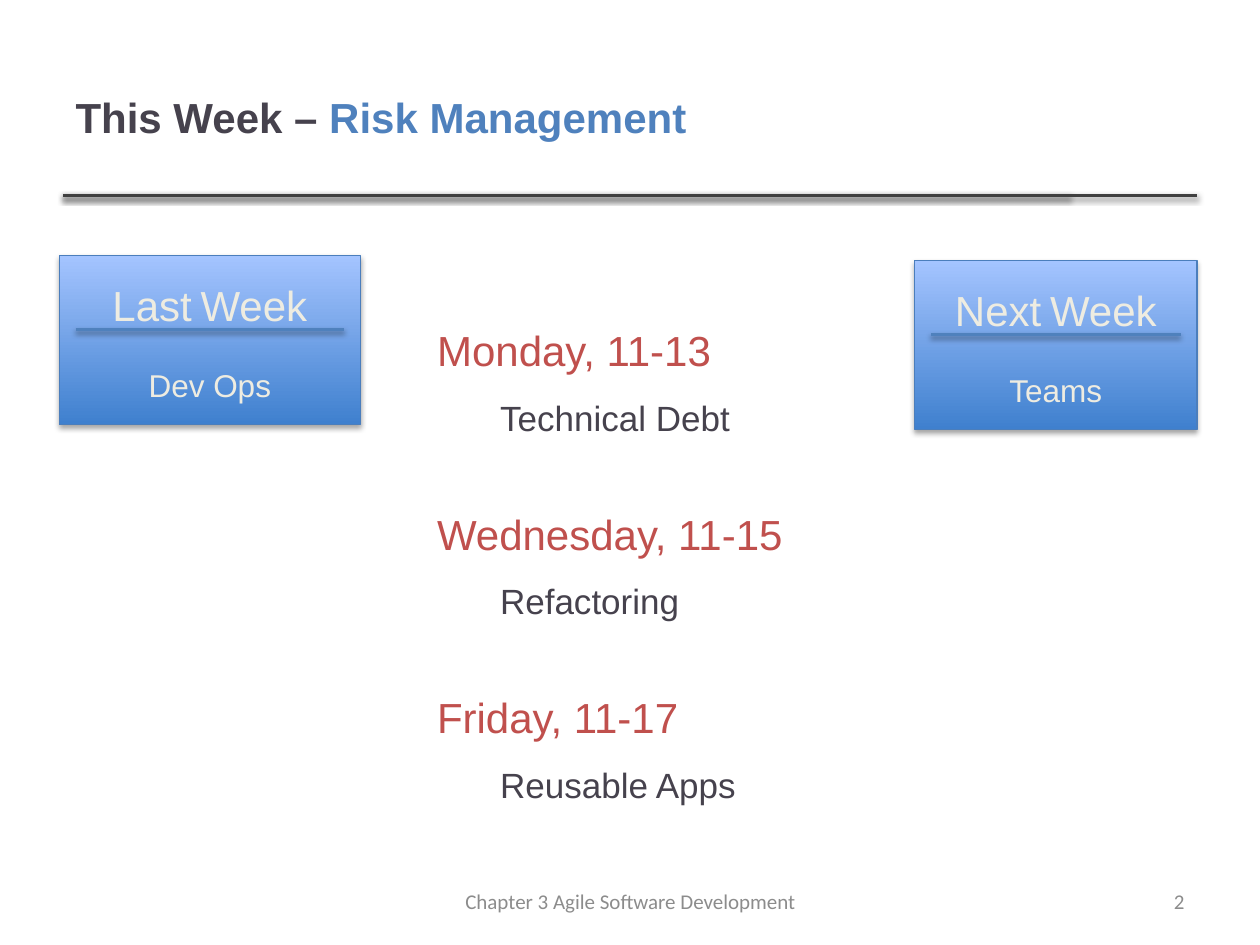
from lxml.etree import SubElement
from pptx import Presentation
from pptx.dml.color import RGBColor
from pptx.enum.shapes import MSO_CONNECTOR as Connector, MSO_SHAPE as Shape
from pptx.enum.text import MSO_ANCHOR as Anchor, PP_ALIGN as Align
from pptx.oxml.ns import qn
from pptx.util import Inches, Pt

WIDTH, HEIGHT = 10, 7.5
MARGIN = 0.05 * WIDTH
RULE_Y = 1.55
FOOTER_Y = 6.95
INK, BLUE, RED, CREAM, GREY = "46424D", "4F81BD", "C0504D", "EEECE1", "8C8C8C"
SCHEDULE = [
    ("Monday, 11-13", "Technical Debt"),
    ("Wednesday, 11-15", "Refactoring"),
    ("Friday, 11-17", "Reusable Apps"),
]
WEEKS = [
    ("Next", "Teams", 7.26, 2.07, 2.24, 0.13),
    ("Last", "Dev Ops", 0.47, 2.03, 2.39, 0.13),
]


def color(value):
    return RGBColor.from_string(value)


def box(*lengths):
    return [Inches(length) for length in lengths]


def add_shadow(element, opacity, distance):
    effects = SubElement(element._element.spPr, qn("a:effectLst"))
    shadow = SubElement(effects, qn("a:outerShdw"), blurRad=str(Pt(3.1)),
                        dist=str(Pt(distance)), dir="5400000", rotWithShape="0")
    black = SubElement(shadow, qn("a:srgbClr"), val="000000")
    SubElement(black, qn("a:alpha"), val=str(opacity * 1000))


def write(paragraph, text, size=24, ink=INK, font="Arial", bold=False,
          align=Align.LEFT, before=0, after=0, indent=0):
    paragraph.alignment = align
    paragraph.space_before, paragraph.space_after = Pt(before), Pt(after)
    if indent:
        paragraph._p.get_or_add_pPr().set("marL", str(Inches(indent)))
    run = paragraph.add_run()
    run.text = text
    run.font.size, run.font.name, run.font.bold = Pt(size), font, bold
    run.font.color.rgb = color(ink)


def add_text_frame(shapes, *lengths, anchor=Anchor.TOP):
    frame = shapes.add_textbox(*box(*lengths)).text_frame
    frame.word_wrap = True
    frame.vertical_anchor = anchor
    return frame


def add_rule(shapes, left, right, y, ink):
    rule = shapes.add_connector(Connector.STRAIGHT, *box(left, y, right, y))
    rule.line.color.rgb = color(ink)
    rule.line.width = Pt(2)
    add_shadow(rule, 38, 1.6)


def add_title(slide):
    title = slide.shapes.title
    title.left, title.top, title.width, title.height = box(
        MARGIN, 0.3, 7.98, RULE_Y - 0.3)
    title.text_frame.vertical_anchor = Anchor.MIDDLE
    heading = title.text_frame.paragraphs[0]
    write(heading, "This Week – ", bold=True)
    write(heading, "Risk Management", ink=BLUE, bold=True)


def add_schedule(slide):
    frame = add_text_frame(slide.shapes, 3.37, 2.53, 3.59, 3.79)
    for index, (day, topic) in enumerate(SCHEDULE):
        day_line = frame.add_paragraph() if index else frame.paragraphs[0]
        write(day_line, day, ink=RED, before=37 if index else 6, after=6)
        write(frame.add_paragraph(), topic, size=20, before=6, after=3, indent=0.5)


def add_week_card(slide, week, topic, left, top, width, inset):
    card = slide.shapes.add_group_shape().shapes
    panel = card.add_shape(Shape.RECTANGLE, *box(left, top, width, 1.34))
    panel.fill.gradient()
    panel.fill.gradient_angle = 90
    for stop, shade in zip(panel.fill.gradient_stops, ("3F80CE", "A4C4FF")):
        stop.color.rgb = color(shade)
    panel.line.color.rgb = color("4B7EBC")
    panel.line.width = Pt(0.75)
    add_shadow(panel, 35, 1.8)

    frame = add_text_frame(card, left, top + 0.14, width, 1.11)
    heading = frame.paragraphs[0]
    for text, size in ((week, 24), (" ", 18), ("Week", 24)):
        write(heading, text, size=size, ink=CREAM, align=Align.CENTER)
    write(frame.add_paragraph(), topic, size=18, ink=CREAM,
          align=Align.CENTER, before=20.7)
    add_rule(card, left + inset, left + width - inset, top + 0.585, BLUE)


def add_footer(slide, text, left, width, align):
    frame = add_text_frame(slide.shapes, left, FOOTER_Y, width, 0.4,
                           anchor=Anchor.MIDDLE)
    write(frame.paragraphs[0], text, size=12, ink=GREY, font="Calibri", align=align)


def main():
    deck = Presentation()
    deck.slide_width, deck.slide_height = box(WIDTH, HEIGHT)
    slide = deck.slides.add_slide(deck.slide_layouts[5])
    for right in (8.49, WIDTH - MARGIN):
        add_rule(slide.shapes, MARGIN, right, RULE_Y, "404040")
    add_title(slide)
    add_schedule(slide)
    add_footer(slide, "Chapter 3 Agile Software Development", 3.42, 3.17, Align.CENTER)
    add_footer(slide, "2", 7.17, 2.33, Align.RIGHT)
    for week in WEEKS:
        add_week_card(slide, *week)
    deck.save("out.pptx")


if __name__ == "__main__":
    main()
